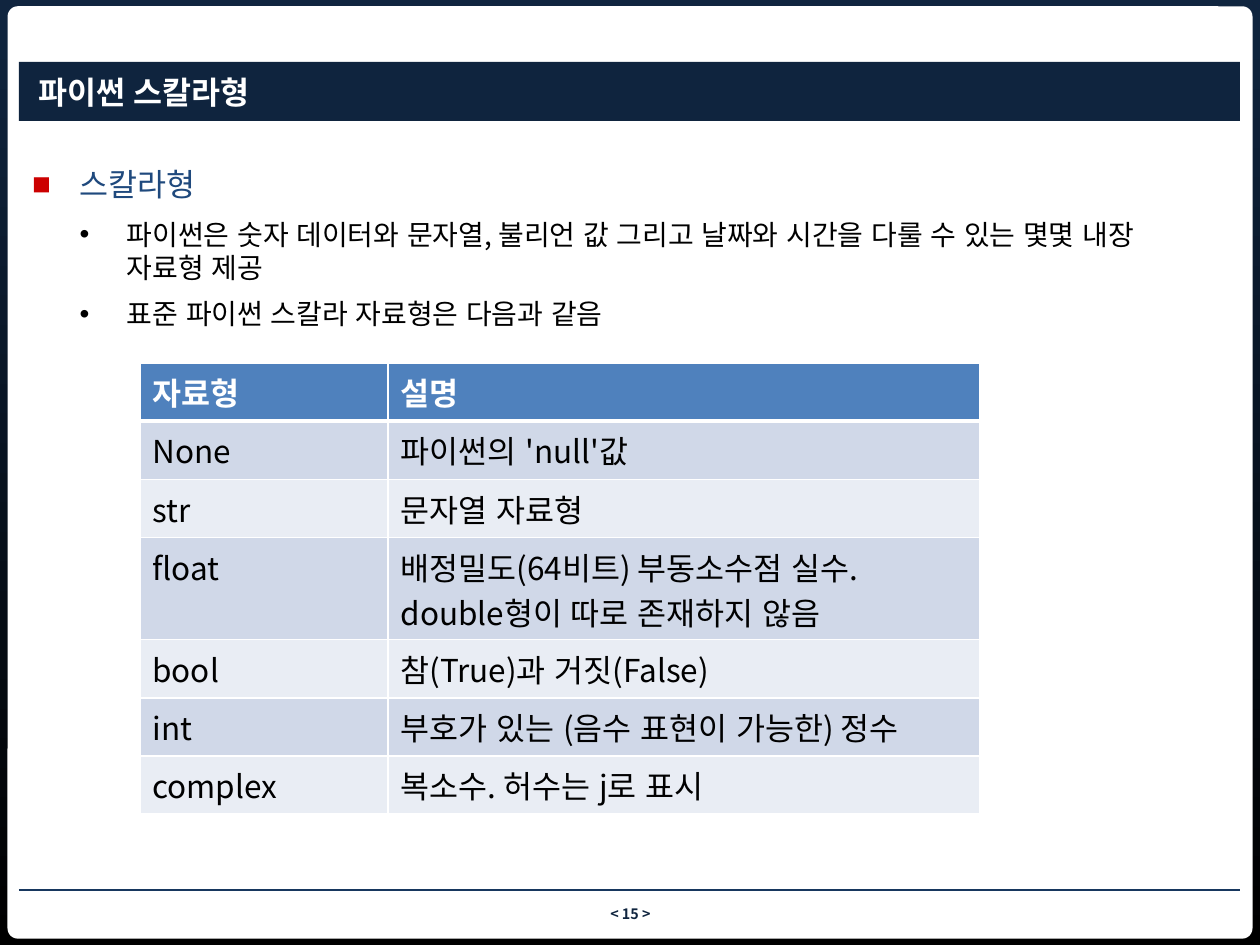
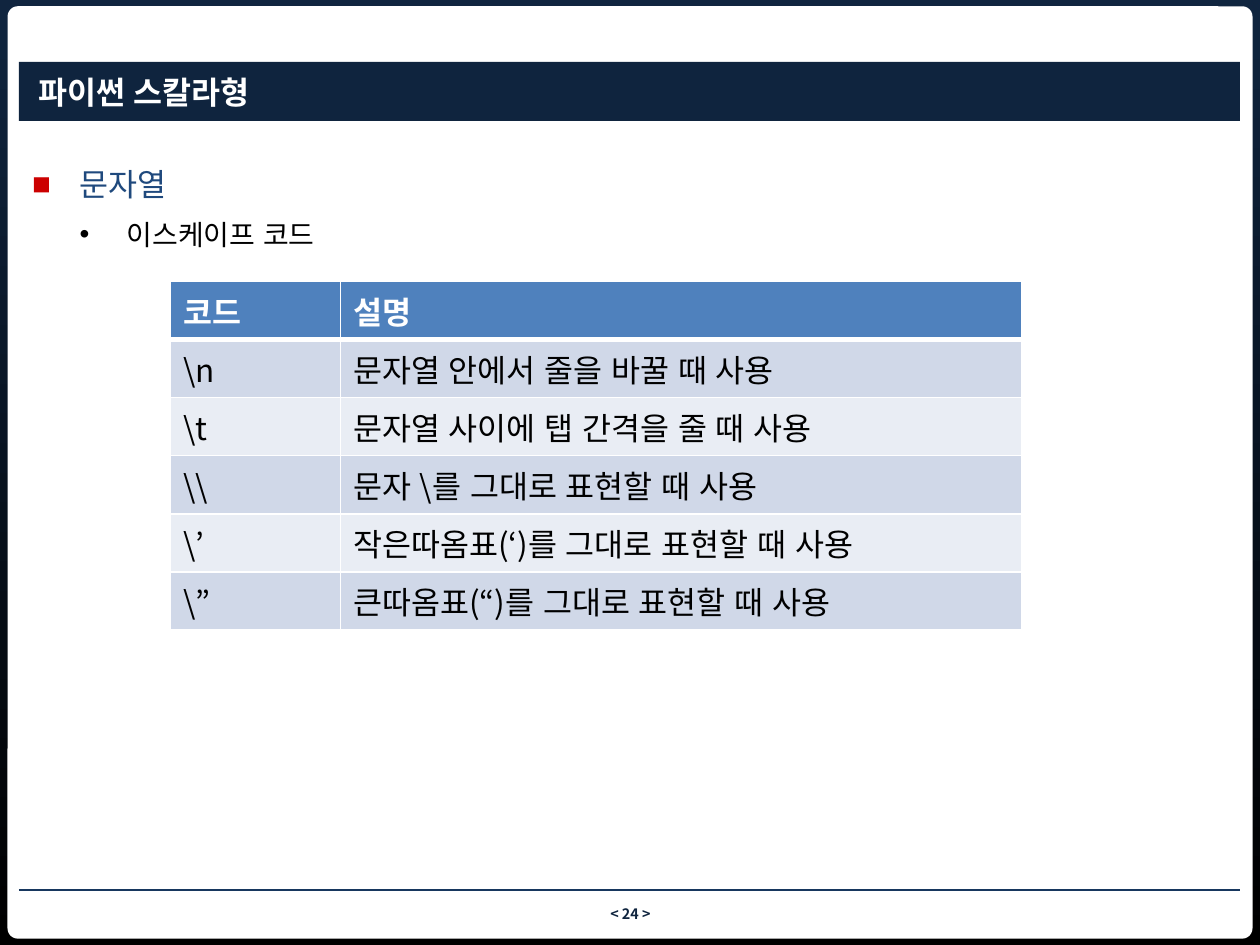
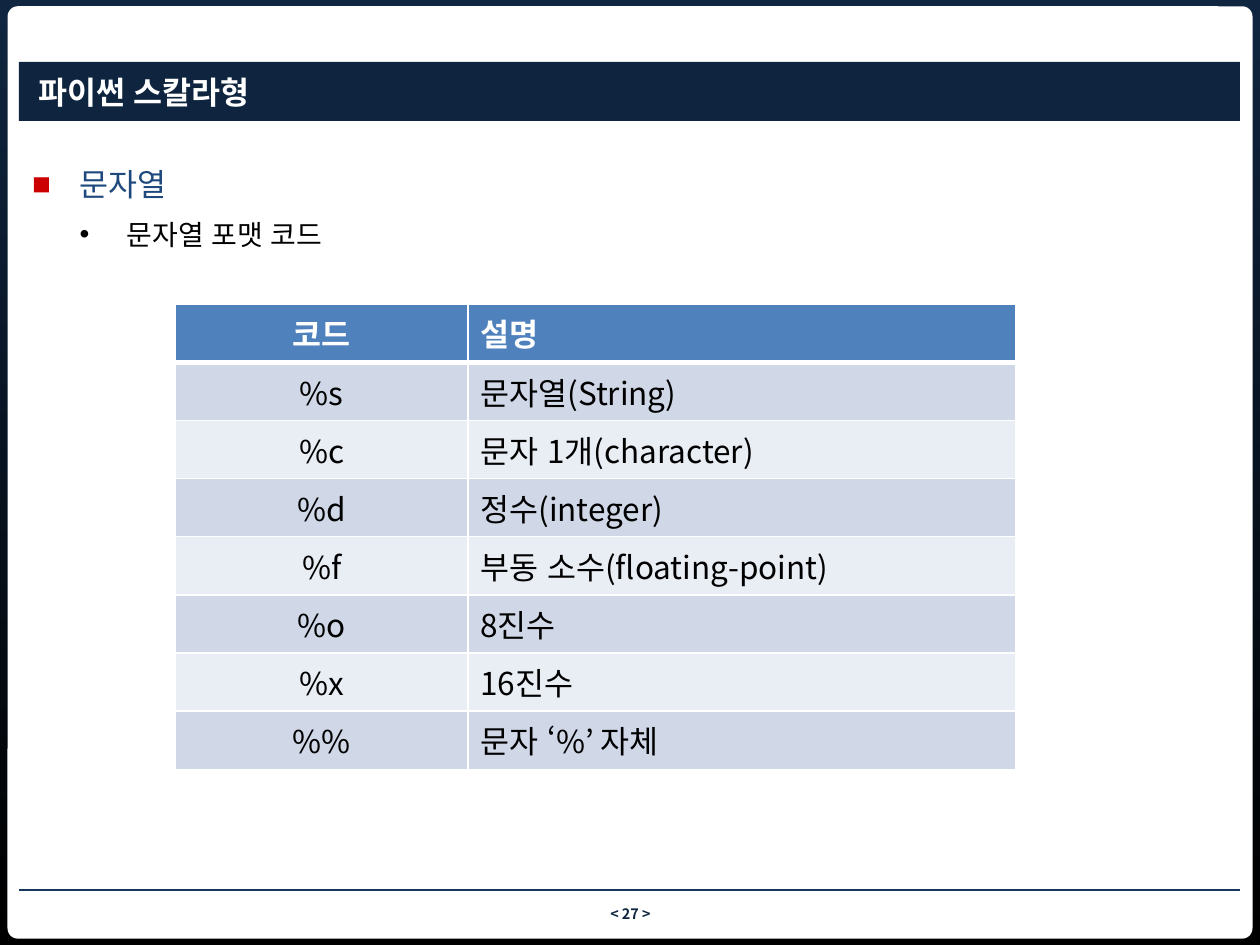
import pptx
import pptx.dml.color
import pptx.enum.lang
import pptx.enum.shapes
import pptx.enum.text
import pptx.oxml
import pptx.oxml.ns
import pptx.util
from lxml import etree

Pt = pptx.util.Pt
RGBColor = pptx.dml.color.RGBColor
SHAPE = pptx.enum.shapes.MSO_SHAPE
KOREAN = pptx.enum.lang.MSO_LANGUAGE_ID.KOREAN
CENTER = pptx.enum.text.PP_ALIGN.CENTER
LEFT = pptx.enum.text.PP_ALIGN.LEFT
MIDDLE = pptx.enum.text.MSO_ANCHOR.MIDDLE
qn = pptx.oxml.ns.qn

# Shared colours
WHITE = RGBColor(0xFF, 0xFF, 0xFF)
BLACK = RGBColor(0x00, 0x00, 0x00)
NAVY = RGBColor(0x10, 0x25, 0x3F)
TITLE_BAND = RGBColor(0x0F, 0x24, 0x3E)
FOOTER_RULE = RGBColor(0x17, 0x37, 0x5E)
TOPIC_BLUE = RGBColor(0x1F, 0x49, 0x7D)
BULLET_RED = RGBColor(0xCC, 0x00, 0x00)
HEADER_BLUE = RGBColor(0x4F, 0x81, 0xBD)
ROW_BANDS = [RGBColor(0xE9, 0xED, 0xF4), RGBColor(0xD0, 0xD8, 0xE8)]

# Shared text styles
FONT = "Noto Sans CJK KR"
TITLE_TEXT = {"size": Pt(18), "bold": True, "color": WHITE}
PAGE_TEXT = {"size": Pt(8.2), "bold": True, "color": NAVY}
TOPIC_TEXT = {"size": Pt(18), "bold": False, "color": TOPIC_BLUE}
POINT_TEXT = {"size": Pt(16), "bold": False, "color": BLACK}
CELL_TEXT = {"size": Pt(18), "bold": False, "color": BLACK}
TOPIC_PARAGRAPH = {"line_spacing": 1.5, "space_after": Pt(8.3)}
POINT_PARAGRAPH = {"line_spacing": 1.0, "space_after": Pt(7)}
FRAME = {"word_wrap": True, "margin_left": 0, "margin_top": 0,
         "margin_right": 0, "margin_bottom": 0}
INDENT = 27
ROW_HEIGHT = 33.25
TALL_ROW_HEIGHT = 58.5

# Content of the slides
SLIDES = [
    {"page": 15, "topic": "스칼라형", "body_height": 140.4,
     "points": ["파이썬은 숫자 데이터와 문자열, 불리언 값 그리고 날짜와 시간을 다룰 수 있는 "
                "몇몇 내장 자료형 제공",
                "표준 파이썬 스칼라 자료형은 다음과 같음"],
     "table_at": (79.9, 207.4), "columns": (141.8, 338.4), "code_align": LEFT,
     "tall_rows": [3],
     "rows": [("자료형", "설명"),
              ("None", "파이썬의 'null'값"),
              ("str", "문자열 자료형"),
              ("float", "배정밀도(64비트) 부동소수점 실수. double형이 따로 존재하지 않음"),
              ("bool", "참(True)과 거짓(False)"),
              ("int", "부호가 있는 (음수 표현이 가능한) 정수"),
              ("complex", "복소수. 허수는 j로 표시")]},
    {"page": 24, "topic": "문자열", "body_height": 92.2,
     "points": ["이스케이프 코드"],
     "table_at": (97.4, 160.7), "columns": (97.2, 389.5), "code_align": LEFT,
     "tall_rows": [],
     "rows": [("코드", "설명"),
              ("\\n", "문자열 안에서 줄을 바꿀 때 사용"),
              ("\\t", "문자열 사이에 탭 간격을 줄 때 사용"),
              ("\\\\", "문자 \\를 그대로 표현할 때 사용"),
              ("\\’", "작은따옴표(‘)를 그대로 표현할 때 사용"),
              ("\\”", "큰따옴표(“)를 그대로 표현할 때 사용")]},
    {"page": 27, "topic": "문자열", "body_height": 63.4,
     "points": ["문자열 포맷 코드"],
     "table_at": (100.4, 173.8), "columns": (167, 313.2), "code_align": CENTER,
     "tall_rows": [],
     "rows": [("코드", "설명"),
              ("%s", "문자열(String)"),
              ("%c", "문자 1개(character)"),
              ("%d", "정수(integer)"),
              ("%f", "부동 소수(floating-point)"),
              ("%o", "8진수"),
              ("%x", "16진수"),
              ("%%", "문자 ‘%’ 자체")]},
]


def write(paragraph, text, style):
    run = paragraph.add_run()
    run.text = text
    run.font.name = FONT
    run.font.language_id = KOREAN
    for name, value in style.items():
        if name == "color":
            run.font.color.rgb = value
        else:
            setattr(run.font, name, value)
    properties = run.font._element
    properties.set("altLang", "en-US")
    properties.set("kern", "1200")
    etree.SubElement(properties, qn("a:ea"), typeface=FONT)


def add_panel(slide, kind, left, top, width, height, color):
    panel = slide.shapes.add_shape(kind, Pt(left), Pt(top), Pt(width), Pt(height))
    panel.shadow.inherit = False
    panel.fill.solid()
    panel.fill.fore_color.rgb = color
    panel.line.fill.background()
    return panel


deck = pptx.Presentation()
deck.slide_width, deck.slide_height = Pt(720), Pt(540)

for content in SLIDES:
    slide = deck.slides.add_slide(deck.slide_layouts[6])

    # Dark gradient behind a white page
    backdrop = slide.background.fill
    backdrop.gradient()
    backdrop.gradient_angle = 270
    for stop, color, position in zip(backdrop.gradient_stops, (NAVY, BLACK), (0, 1)):
        stop.color.rgb = color
        stop.position = position
    page = add_panel(slide, SHAPE.ROUNDED_RECTANGLE, 4.3, 3.6, 711.4, 532.8, WHITE)
    page.adjustments[0] = 0.011

    # Footer
    page_number = slide.shapes.add_textbox(Pt(282.2), Pt(517), Pt(156.2), Pt(10)).text_frame
    footer_rule = slide.shapes.add_connector(
        pptx.enum.shapes.MSO_CONNECTOR.STRAIGHT, Pt(10.8), Pt(508.4), Pt(708.5), Pt(508.4))
    footer_rule.line.color.rgb = FOOTER_RULE
    footer_rule.line.width = Pt(1)
    etree.SubElement(footer_rule._element.spPr, qn("a:effectLst"))

    # Title band and body
    title = add_panel(slide, SHAPE.RECTANGLE, 10.8, 35.4, 697.7, 33.8, TITLE_BAND).text_frame
    body = slide.shapes.add_textbox(
        Pt(18.5), Pt(83.5), Pt(682.6), Pt(content["body_height"])).text_frame
    for frame in (page_number, title, body):
        for name, value in FRAME.items():
            setattr(frame, name, value)
    title.margin_left = Pt(11)
    body.margin_right = Pt(14)
    title.vertical_anchor = page_number.vertical_anchor = MIDDLE
    title.paragraphs[0].alignment = LEFT
    page_number.paragraphs[0].alignment = CENTER
    write(title.paragraphs[0], "파이썬 스칼라형", TITLE_TEXT)
    write(page_number.paragraphs[0], f"< {content['page']} >", PAGE_TEXT)

    # Topic with its points
    for index, text in enumerate([content["topic"], *content["points"]]):
        level = min(index, 1)
        line = body.add_paragraph() if index else body.paragraphs[0]
        line.level = level
        for name, value in (TOPIC_PARAGRAPH, POINT_PARAGRAPH)[level].items():
            setattr(line, name, value)
        properties = line._p.get_or_add_pPr()
        properties.set("marL", str(Pt(INDENT * (level + 1))))
        properties.set("indent", str(Pt(-INDENT)))
        bullet_color = etree.SubElement(properties, qn("a:buClr"))
        etree.SubElement(bullet_color, qn("a:srgbClr"), val=str((BULLET_RED, BLACK)[level]))
        etree.SubElement(properties, qn("a:buSzPct"), val=("60000", "100000")[level])
        etree.SubElement(properties, qn("a:buFont"), typeface=(FONT, "Arial")[level])
        etree.SubElement(properties, qn("a:buChar"), char="■•"[level])
        write(line, text, (TOPIC_TEXT, POINT_TEXT)[level])

    # Table of codes and descriptions
    rows, columns = content["rows"], content["columns"]
    left, top = content["table_at"]
    heights = [TALL_ROW_HEIGHT if r in content["tall_rows"] else ROW_HEIGHT
               for r in range(len(rows))]
    codes = slide.shapes.add_table(len(rows), len(columns), Pt(left), Pt(top),
                                   Pt(sum(columns)), Pt(sum(heights))).table
    for column, width in zip(codes.columns, columns):
        column.width = Pt(width)
    for r, row in enumerate(rows):
        codes.rows[r].height = Pt(heights[r])
        borders = {"lnL": 1, "lnR": 1, "lnT": 3 if r == 1 else 1, "lnB": 3 if r == 0 else 1}
        for c, text in enumerate(row):
            cell = codes.cell(r, c)
            for side, width in borders.items():
                border = etree.SubElement(cell._tc.get_or_add_tcPr(), qn(f"a:{side}"),
                                          w=str(Pt(width)))
                fill = etree.SubElement(border, qn("a:solidFill"))
                etree.SubElement(fill, qn("a:srgbClr"), val=str(WHITE))
            cell.fill.solid()
            cell.fill.fore_color.rgb = ROW_BANDS[r % 2] if r else HEADER_BLUE
            paragraph = cell.text_frame.paragraphs[0]
            paragraph.alignment = LEFT if c else content["code_align"]
            write(paragraph, text, CELL_TEXT if r else TITLE_TEXT)

deck.save("out.pptx")
